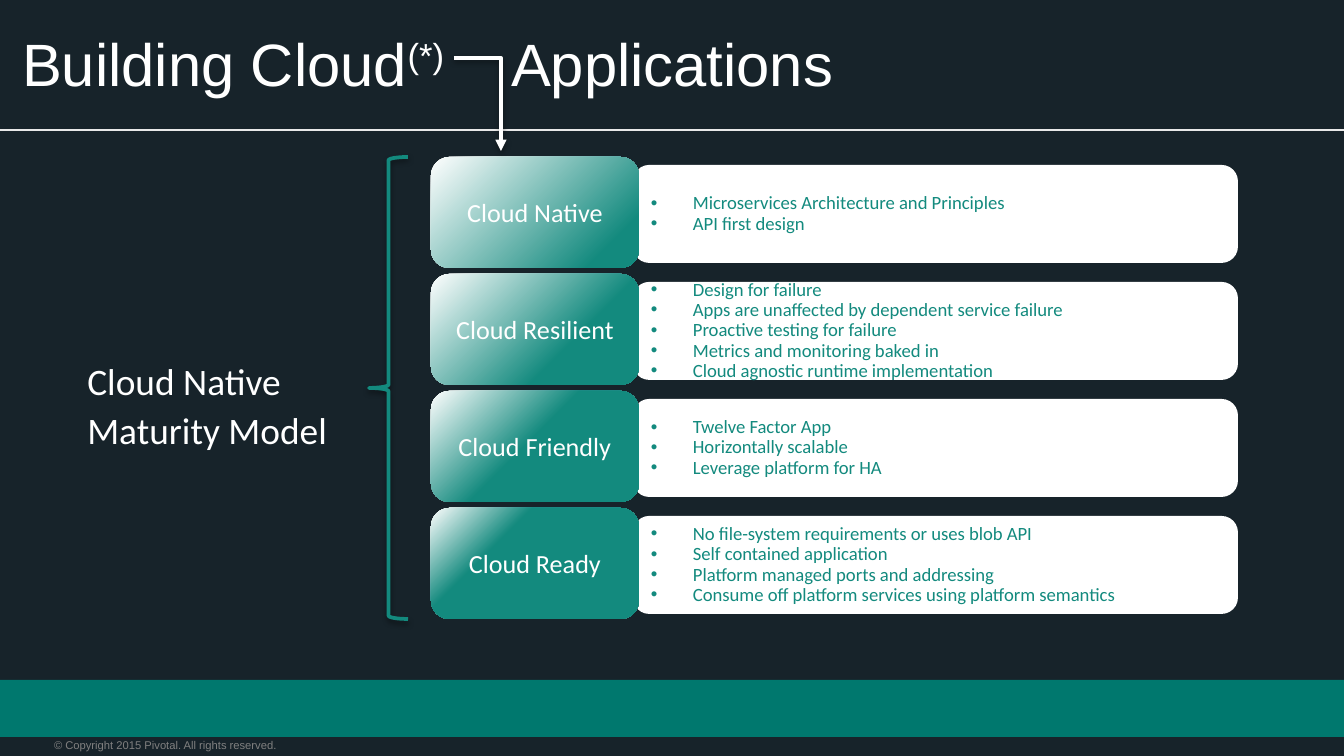
from dataclasses import dataclass

from lxml.etree import SubElement
from pptx import Presentation
from pptx.dml.color import RGBColor
from pptx.enum.shapes import MSO_CONNECTOR, MSO_SHAPE
from pptx.enum.text import MSO_ANCHOR, PP_ALIGN
from pptx.oxml.ns import qn
from pptx.util import Pt

EMU_PER_PX = 914400 / 134.4


@dataclass(frozen=True)
class Theme:
    night: str = "17232A"
    footer: str = "00786E"
    teal: str = "138A7E"
    white: str = "FFFFFF"
    rule: str = "E8E8E8"
    grey: str = "808080"
    shade: str = "000000"
    heading_font: str = "Arial"
    body_font: str = "Calibri"
    title: int = 32
    model: int = 20
    level: int = 14
    detail: int = 10
    copyright: int = 6


THEME = Theme()


def px(length):
    return round(length * EMU_PER_PX)


def rgb(colour):
    return RGBColor.from_string(colour)


def add_node(parent, tag, **attributes):
    return SubElement(parent, qn(tag), {key: str(value) for key, value in attributes.items()})


def put_text(shape, paragraphs, *, size, colour, font=THEME.body_font, align=PP_ALIGN.LEFT,
             anchor=MSO_ANCHOR.TOP, spacing=None, inset=None, bullet_indent=0, tab=0):
    frame = shape.text_frame
    frame.word_wrap = True
    frame.vertical_anchor = anchor
    if inset is not None:
        frame.margin_left = frame.margin_right = px(inset)
        frame.margin_top = frame.margin_bottom = px(inset)
    for index, content in enumerate(paragraphs):
        paragraph = frame.add_paragraph() if index else frame.paragraphs[0]
        paragraph.alignment = align
        if spacing:
            paragraph.line_spacing = spacing
        properties = paragraph._p.get_or_add_pPr()
        if bullet_indent:
            properties.set("marL", str(px(bullet_indent)))
            properties.set("indent", str(-px(bullet_indent)))
            add_node(properties, "a:buFont", typeface="Arial")
            add_node(properties, "a:buChar", char="•")
        if tab:
            add_node(add_node(properties, "a:tabLst"), "a:tab", pos=px(tab), algn="l")
        pieces = [(content, 0)] if isinstance(content, str) else content
        for words, raised in pieces:
            run = paragraph.add_run()
            run.text = words
            run.font.size = Pt(size)
            run.font.name = font
            run.font.color.rgb = rgb(colour)
            if raised:
                run.font._element.set("baseline", str(raised * 1000))


class SlideBuilder:
    def __init__(self, slide, theme):
        self.slide = slide
        self.theme = theme
        fill = slide.background.fill
        fill.solid()
        fill.fore_color.rgb = rgb(theme.night)

    def text(self, left, top, width, height, paragraphs, **style):
        box = self.slide.shapes.add_textbox(px(left), px(top), px(width), px(height))
        put_text(box, paragraphs, **style)

    def block(self, left, top, width, height, colour, preset=MSO_SHAPE.RECTANGLE):
        block = self.slide.shapes.add_shape(preset, px(left), px(top), px(width), px(height))
        block.shadow.inherit = False
        block.fill.solid()
        block.fill.fore_color.rgb = rgb(colour)
        block.line.fill.background()
        return block

    def level(self, left, top, width, height, name, teal_stop):
        level = self.block(left, top, width, height, self.theme.teal, MSO_SHAPE.ROUNDED_RECTANGLE)
        level.fill.gradient()
        gradient = level._element.spPr.find(qn("a:gradFill"))
        for child in list(gradient):
            gradient.remove(child)
        stops = add_node(gradient, "a:gsLst")
        for position, colour in ((teal_stop, self.theme.teal), (100, self.theme.white)):
            add_node(add_node(stops, "a:gs", pos=position * 1000), "a:srgbClr", val=colour)
        circle = add_node(gradient, "a:path", path="circle")
        add_node(circle, "a:fillToRect", l=100000, t=100000)
        put_text(level, [name], size=self.theme.level, colour=self.theme.white,
                 align=PP_ALIGN.CENTER, anchor=MSO_ANCHOR.MIDDLE)

    def details(self, left, top, width, height, points):
        panel = self.block(left, top, width, height, self.theme.white, MSO_SHAPE.ROUNDED_RECTANGLE)
        put_text(panel, points, size=self.theme.detail, colour=self.theme.teal,
                 anchor=MSO_ANCHOR.MIDDLE, spacing=0.9, bullet_indent=42)

    def rule(self, left, top, right):
        rule = self.slide.shapes.add_connector(
            MSO_CONNECTOR.STRAIGHT, px(left), px(top), px(right), px(top))
        rule.line.color.rgb = rgb(self.theme.rule)
        rule.line.width = Pt(0.75)
        add_node(rule._element.spPr, "a:effectLst")

    def outline(self, shape, colour):
        shape.fill.background()
        shape.line.color.rgb = rgb(colour)
        shape.line.width = Pt(2)
        shape.shadow.inherit = False
        effects = shape._element.spPr.find(qn("a:effectLst"))
        shadow = add_node(effects, "a:outerShdw", blurRad=Pt(3.1), dist=Pt(1.6),
                          dir=90 * 60000, rotWithShape=0)
        tint = add_node(shadow, "a:srgbClr", val=self.theme.shade)
        add_node(tint, "a:alpha", val=38000)

    def brace(self, left, top, width, height):
        brace = self.slide.shapes.add_shape(
            MSO_SHAPE.LEFT_BRACE, px(left), px(top), px(width), px(height))
        self.outline(brace, self.theme.teal)

    def arrow(self, start, *corners):
        builder = self.slide.shapes.build_freeform(px(start[0]), px(start[1]))
        builder.add_line_segments([(px(x), px(y)) for x, y in corners], close=False)
        arrow = builder.convert_to_shape()
        self.outline(arrow, self.theme.white)
        add_node(arrow.line._get_or_add_ln(), "a:tailEnd", type="triangle")


LEVELS = [
    ("Cloud Native", 16, ["Microservices Architecture and Principles", "API first design"]),
    ("Cloud Resilient", 34, [
        "Design for failure",
        "Apps are unaffected by dependent service failure",
        "Proactive testing for failure",
        "Metrics and monitoring baked in",
        "Cloud agnostic runtime implementation",
    ]),
    ("Cloud Friendly", 53, [
        "Twelve Factor App", "Horizontally scalable", "Leverage platform for HA"]),
    ("Cloud Ready", 68, [
        "No file-system requirements or uses blob API",
        "Self contained application",
        "Platform managed ports and addressing",
        "Consume off platform services using platform semantics",
    ]),
]


def main():
    deck = Presentation()
    deck.slide_width, deck.slide_height = px(1344), px(756)
    page = SlideBuilder(deck.slides.add_slide(deck.slide_layouts[6]), THEME)

    page.block(0, 680, 1344, 57, THEME.footer)
    page.text(54, 738, 335, 13, ["© Copyright 2015 Pivotal. All rights reserved."],
              size=THEME.copyright, colour=THEME.grey, font=THEME.heading_font, inset=0)
    page.rule(0, 130, 1344)
    page.text(22, 10, 1305, 106, [[("Building Cloud", 0), ("(*)", 30), ("\tApplications", 0)]],
              size=THEME.title, colour=THEME.white, font=THEME.heading_font,
              anchor=MSO_ANCHOR.MIDDLE, inset=0, tab=489)

    top, bottom, height = 157, 619, 111
    pitch = (bottom - top - height) / (len(LEVELS) - 1)
    tops = [round(top + row * pitch) for row in range(len(LEVELS))]
    for row_top, (_, _, points) in zip(tops, LEVELS):
        page.details(633, row_top + 8, 605, 98, points)
    for row_top, (name, teal_stop, _) in zip(tops, LEVELS):
        page.level(431, row_top, 208, height, name, teal_stop)

    page.text(74, 347, 308, 113, ["Cloud Native", "Maturity Model"],
              size=THEME.model, colour=THEME.white, spacing=1.1)
    page.brace(369, top, 39, bottom - top)
    page.arrow((454, 58), (501, 58), (501, 151))

    deck.save("out.pptx")


if __name__ == "__main__":
    main()
